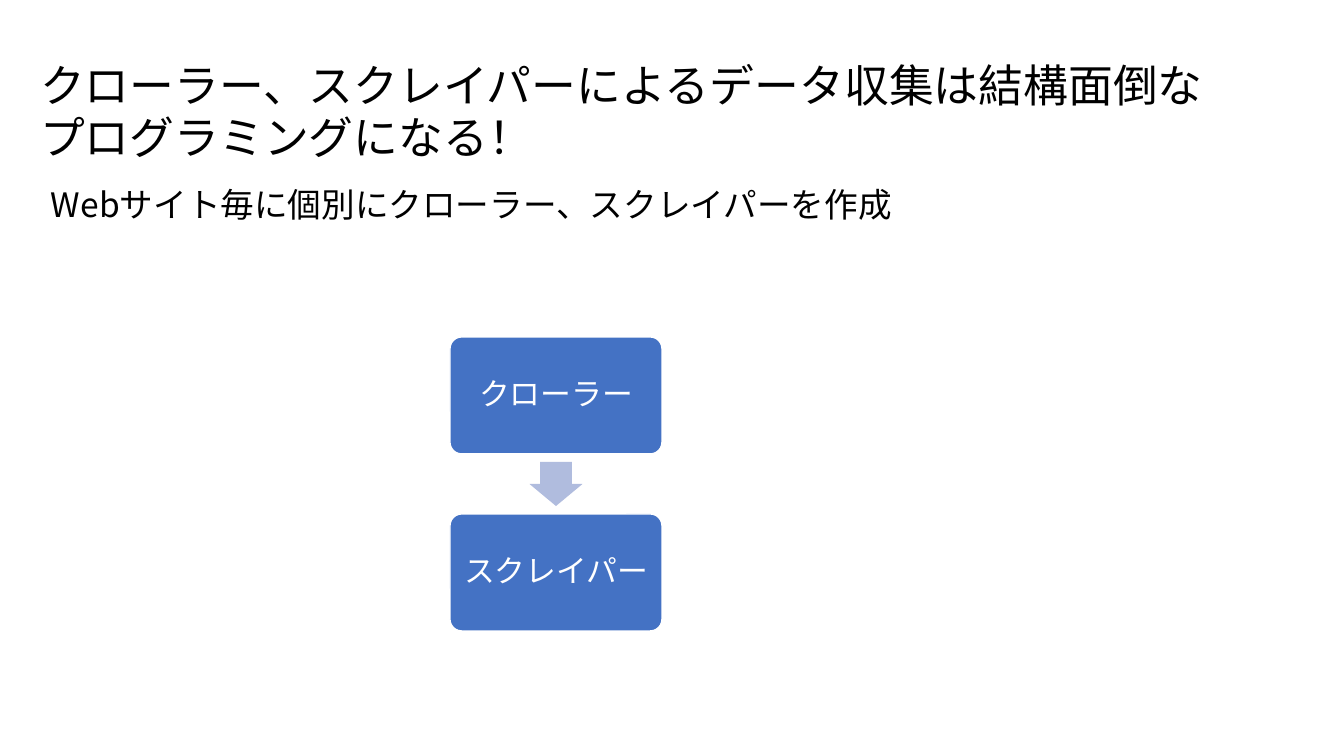
from pptx import Presentation
from pptx.dml.color import RGBColor
from pptx.enum.shapes import MSO_SHAPE as SHAPE
from pptx.enum.text import MSO_ANCHOR as ANCHOR, PP_ALIGN as ALIGN
from pptx.oxml.ns import qn
from pptx.util import Pt
from lxml import etree

# Content
TITLE = ["クローラー、スクレイパーによるデータ収集は結構面倒な",
         "プログラミングになる！"]
SUBTITLE = ["Webサイト毎に個別にクローラー、スクレイパーを作成"]
STEPS = ["クローラー", "スクレイパー"]

# Layout in px
PX = 9071
SLIDE_W, SLIDE_H = 1344, 756
TITLE_BOX = (30, 52, 1197, 119)
SUBTITLE_BOX = (41, 180, 873, 50)
STEP_X, STEP_Y, STEP_W, STEP_H, STEP_PITCH = 450, 337, 212, 117, 177
ARROW_W, ARROW_H = 53, 44
JP_FONT = "Noto Sans CJK JP"
BLUE, PALE_BLUE, WHITE, BLACK = "4472C4", "B0BCDE", "FFFFFF", "000000"


def px(*lengths):
    return [round(n * PX) for n in lengths]


def rgb(value):
    return RGBColor.from_string(value)


def write(tf, lines, size, color, font, spacing, align=ALIGN.LEFT):
    tf.text = "\n".join(lines)
    for p in tf.paragraphs:
        p.alignment, p.line_spacing = align, spacing
        p.space_before = Pt(0)
        p.font.size, p.font.name = Pt(size), font
        p.font.color.rgb = rgb(color)
        for r in p.runs:
            r.font.size, r.font.name = Pt(size), font
            r.font.color.rgb = rgb(color)
            etree.SubElement(r.font._element, qn("a:ea"), typeface=JP_FONT)


def add_block(slide, kind, box, fill, line=None):
    sp = slide.shapes.add_shape(kind, *px(*box))
    sp.shadow.inherit = False
    sp.fill.solid()
    sp.fill.fore_color.rgb = rgb(fill)
    if line:
        sp.line.color.rgb = rgb(line)
        sp.line.width = Pt(1)
    else:
        sp.line.fill.background()
    return sp


prs = Presentation()
prs.slide_width, prs.slide_height = px(SLIDE_W, SLIDE_H)
slide = prs.slides.add_slide(prs.slide_layouts[5])

# Title and subtitle
title = slide.shapes.title
title.left, title.top, title.width, title.height = px(*TITLE_BOX)
subtitle = slide.shapes.add_textbox(*px(*SUBTITLE_BOX))
for sp, lines, size, spacing in [(title, TITLE, 32, 37),
                                 (subtitle, SUBTITLE, 24, 28)]:
    tf = sp.text_frame
    tf.word_wrap = False
    tf.vertical_anchor = ANCHOR.MIDDLE
    write(tf, lines, size, BLACK, JP_FONT, Pt(spacing))

# Steps, with an arrow centred in each gap
for i, step in enumerate(STEPS):
    top = STEP_Y + i * STEP_PITCH
    sp = add_block(slide, SHAPE.ROUNDED_RECTANGLE,
                   (STEP_X, top, STEP_W, STEP_H), BLUE, WHITE)
    sp.adjustments[0] = 0.1
    tf = sp.text_frame
    tf.word_wrap = True
    tf.vertical_anchor = ANCHOR.MIDDLE
    write(tf, [step], 22, WHITE, "Calibri", 0.9, ALIGN.CENTER)
    if i:
        gap_middle = top - (STEP_PITCH - STEP_H) / 2
        arrow = add_block(slide, SHAPE.DOWN_ARROW,
                          (STEP_X + (STEP_W - ARROW_W) / 2,
                           gap_middle - ARROW_H / 2, ARROW_W, ARROW_H),
                          PALE_BLUE)
        arrow.adjustments[0] = 0.6
        # Head length is a share of the shorter side
        arrow.adjustments[1] = 0.5

prs.save("out.pptx")
